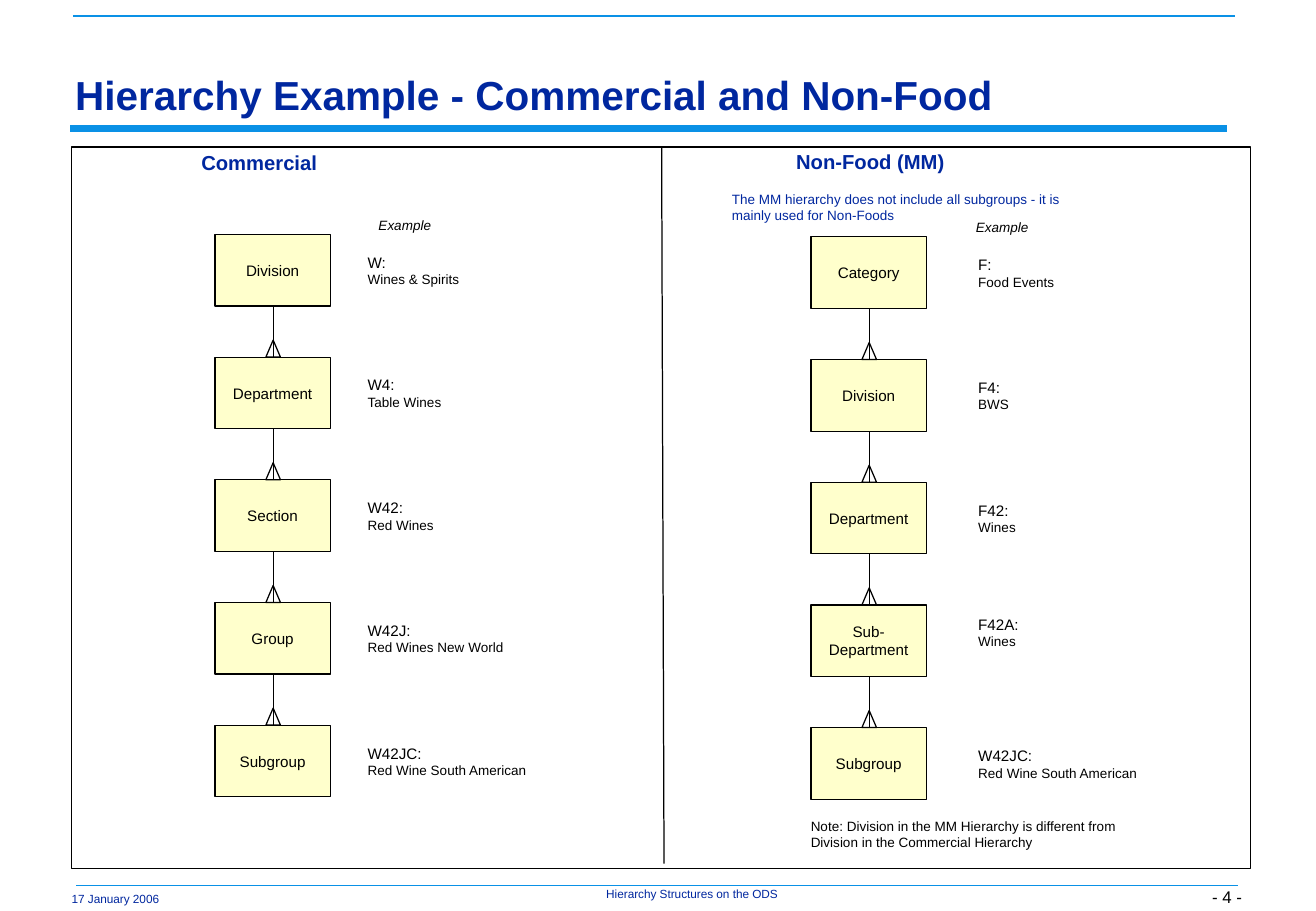
from lxml import etree
from pptx import Presentation
from pptx.dml.color import RGBColor
from pptx.enum.shapes import MSO_CONNECTOR, MSO_SHAPE
from pptx.enum.text import MSO_ANCHOR, PP_ALIGN
from pptx.oxml.ns import qn
from pptx.util import Pt

EMU_PER_PX = 9144  # 100 px to the inch
RECTANGLE, TRIANGLE = MSO_SHAPE.RECTANGLE, MSO_SHAPE.ISOSCELES_TRIANGLE
STRAIGHT = MSO_CONNECTOR.STRAIGHT
TOP, MIDDLE, BOTTOM = MSO_ANCHOR.TOP, MSO_ANCHOR.MIDDLE, MSO_ANCHOR.BOTTOM
LEFT, CENTER, RIGHT = PP_ALIGN.LEFT, PP_ALIGN.CENTER, PP_ALIGN.RIGHT

FONT = "Arial"
NAVY, BLUE, BLACK, CREAM = "00279F", "0A91E6", "000000", "FFFFCC"
BOX_WIDTH, BOX_HEIGHT, LEVEL_STEP = 95, 59, 101
BOX_CENTER = 48
FOOT_WIDTH, FOOT_HEIGHT = 12, 14
LABEL_WIDTH, LABEL_HEIGHT = 160, 39

# Each level: box name, example code, example name, label offset from box top
COMMERCIAL = [
    ("Division", "W:", "Wines & Spirits", 10),
    ("Department", "W4:", "Table Wines", 10),
    ("Section", "W42:", "Red Wines", 10),
    ("Group", "W42J:", "Red Wines New World", 10),
    ("Subgroup", "W42JC:", "Red Wine South American", 10),
]
NON_FOOD = [
    ("Category", "F:", "Food Events", 10),
    ("Division", "F4:", "BWS", 10),
    ("Department", "F42:", "Wines", 10),
    ("Sub-Department", "F42A:", "Wines", 3),
    ("Subgroup", "W42JC:", "Red Wine South American", 10),
]


def px(length):
    return int(length * EMU_PER_PX)


def color(hex_value):
    return RGBColor.from_string(hex_value)


def write_text(shape, lines, ink=BLACK, align=LEFT, anchor=MIDDLE,
               inset=(10, 5), bold=False, italic=False, spacing=None):
    """Fill a shape with lines given as (text, point size) pairs."""
    frame = shape.text_frame
    frame.word_wrap = True
    frame.vertical_anchor = anchor
    frame.margin_left = frame.margin_right = px(inset[0])
    frame.margin_top = frame.margin_bottom = px(inset[1])
    for index, (text, size) in enumerate(lines):
        paragraph = frame.add_paragraph() if index else frame.paragraphs[0]
        paragraph.alignment = align
        if spacing:
            paragraph.line_spacing = spacing
        run = paragraph.add_run()
        run.text = text
        run.font.name = FONT
        run.font.size = Pt(size)
        run.font.bold = bold
        run.font.italic = italic
        run.font.color.rgb = color(ink)


def add_text(slide, left, top, width, height, lines, **style):
    shape = slide.shapes.add_textbox(px(left), px(top), px(width), px(height))
    write_text(shape, lines, **style)


def add_outline(slide, kind, left, top, width, height, fill=None):
    shape = slide.shapes.add_shape(kind, px(left), px(top), px(width), px(height))
    shape.shadow.inherit = False
    if fill:
        shape.fill.solid()
        shape.fill.fore_color.rgb = color(fill)
    else:
        shape.fill.background()
    shape.line.color.rgb = color(BLACK)
    shape.line.width = Pt(0.75)
    return shape


def add_line(slide, x1, y1, x2, y2, ink=BLACK, weight=0.75):
    line = slide.shapes.add_connector(STRAIGHT, px(x1), px(y1), px(x2), px(y2))
    line.line.color.rgb = color(ink)
    line.line.width = Pt(weight)
    etree.SubElement(line._element.spPr, qn("a:effectLst"))


def add_crow_foot(slide, center, top, bottom):
    add_line(slide, center, top, center, bottom)
    add_outline(slide, TRIANGLE, center - FOOT_WIDTH // 2, bottom - FOOT_HEIGHT,
                FOOT_WIDTH, FOOT_HEIGHT)


def add_hierarchy(slide, left, top, label_left, levels):
    for index, (name, code, example, offset) in enumerate(levels):
        box_top = top + index * LEVEL_STEP
        box = add_outline(slide, RECTANGLE, left, box_top, BOX_WIDTH, BOX_HEIGHT, CREAM)
        write_text(box, [(name, 9)], align=CENTER)
        add_text(slide, label_left, box_top + offset, LABEL_WIDTH, LABEL_HEIGHT,
                 [(code, 9), (example, 8)])
        if index:
            add_crow_foot(slide, left + BOX_CENTER,
                          box_top - LEVEL_STEP + BOX_HEIGHT, box_top)


def add_page_furniture(slide):
    add_line(slide, 60, 13, 1017, 13, BLUE, 1)
    add_line(slide, 58, 106, 1011, 106, BLUE, 4)
    add_line(slide, 63, 729, 1020, 729, BLUE, 1)
    add_text(slide, 44, 729, 102, 22, [("17 January 2006", 7)], ink=NAVY, align=CENTER)
    add_text(slide, 494, 731, 152, 11, [("Hierarchy Structures on the ODS", 7)],
             ink=NAVY, align=CENTER, anchor=TOP, inset=(0, 0), spacing=0.9)
    add_text(slide, 970, 711, 60, 39, [("- 4 -", 10)],
             align=RIGHT, anchor=BOTTOM, inset=(7, 3))


def main():
    presentation = Presentation()
    presentation.slide_width, presentation.slide_height = px(1084), px(750)
    slide = presentation.slides.add_slide(presentation.slide_layouts[6])

    # Title, rules and footer
    add_page_furniture(slide)
    add_text(slide, 55, 58, 963, 44,
             [("Hierarchy Example - Commercial and Non-Food", 24)],
             ink=NAVY, anchor=BOTTOM, inset=(7, 3), bold=True, spacing=0.97)

    # Frame with two halves
    add_outline(slide, RECTANGLE, 59, 121, 971, 594)
    add_line(slide, 545, 121, 547, 711)

    # Commercial hierarchy
    add_text(slide, 156, 119, 182, 30, [("Commercial", 12)], ink=NAVY, bold=True)
    add_text(slide, 291, 173, 85, 24, [("Example", 8)], align=CENTER, italic=True)
    add_hierarchy(slide, 177, 193, 293, COMMERCIAL)

    # Non-food hierarchy
    add_text(slide, 646, 118, 182, 30, [("Non-Food (MM)", 12)], ink=NAVY, bold=True)
    add_text(slide, 593, 152, 293, 37,
             [("The MM hierarchy does not include all subgroups - it is "
               "mainly used for Non-Foods", 8)], ink=NAVY)
    add_text(slide, 783, 175, 85, 24, [("Example", 8)], align=CENTER, italic=True)
    add_hierarchy(slide, 668, 195, 796, NON_FOOD)
    add_text(slide, 658, 668, 278, 37,
             [("Note: Division in the MM Hierarchy is different from "
               "Division in the Commercial Hierarchy", 8)])

    presentation.save("out.pptx")


if __name__ == "__main__":
    main()
